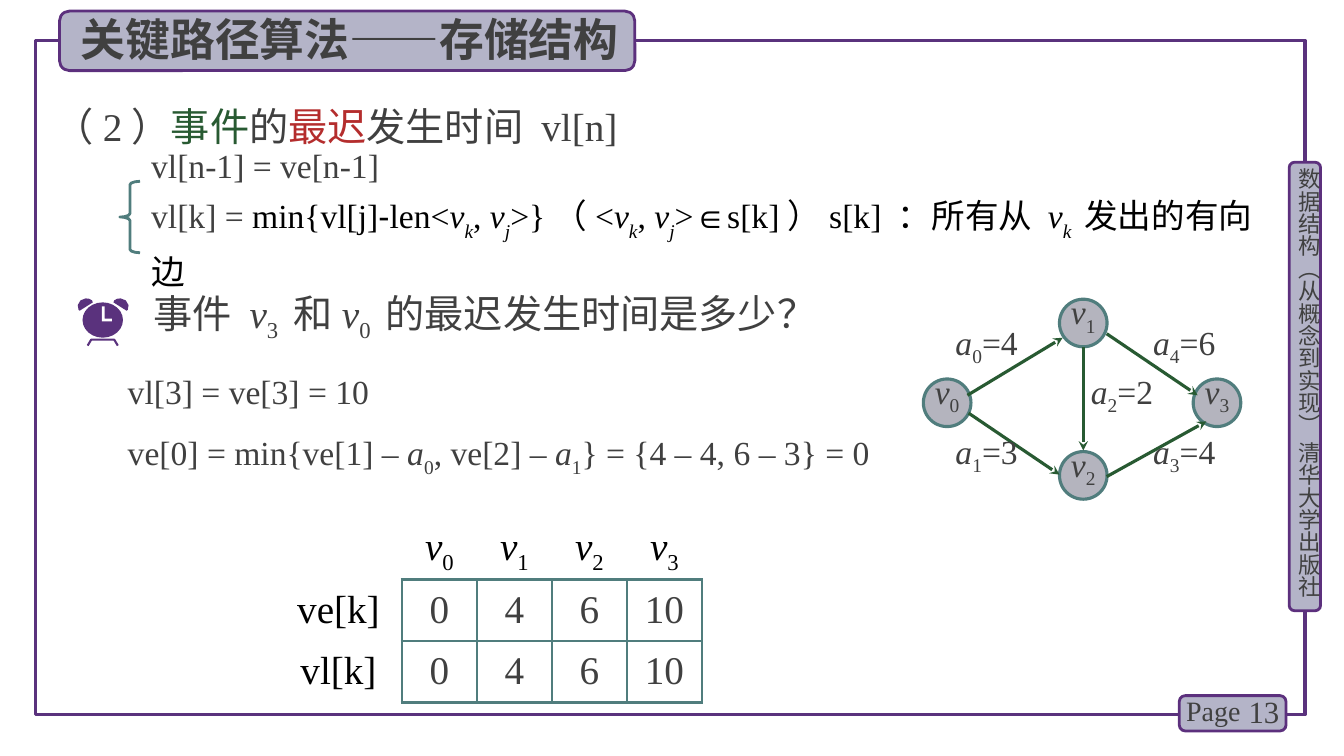
from lxml.etree import SubElement
from pptx import Presentation
from pptx.dml.color import RGBColor
from pptx.enum.shapes import MSO_CONNECTOR, MSO_SHAPE
from pptx.enum.text import MSO_ANCHOR, MSO_AUTO_SIZE, PP_ALIGN
from pptx.oxml.ns import qn
from pptx.util import Cm, Pt

COLORS = {"purple": "5A327D", "edge": "5C307D", "lilac": "B4B4C8", "node": "B4B4BE",
          "teal": "507D7D", "green": "285A32", "red": "B42D2D", "gray": "404040",
          "black": "000000", "white": "FFFFFF"}
SERIF, SANS = "Times New Roman", "Noto Sans CJK SC"


def rgb(name):
    """Look up a named colour."""
    return RGBColor.from_string(COLORS[name])


def add_text(p, text, size=24, color="gray", font=SERIF, bold=False, italic=False, base=0):
    """Append a formatted run to a paragraph."""
    r = p.add_run()
    r.text = text
    r.font.size, r.font.name = Pt(size), font
    r.font.bold, r.font.italic = bold, italic
    r.font.color.rgb = rgb(color)
    rPr = r._r.get_or_add_rPr()
    SubElement(rPr, qn("a:ea")).set("typeface", SANS)
    if base:
        rPr.set("baseline", str(base * 1000))


def var(name, sub, slanted=False):
    """Return the runs of an italic variable with its subscript."""
    return [(name, {"italic": True}),
            (sub, {"italic": slanted, "base": -30 if slanted else -25})]


def write(tf, *paras, align=PP_ALIGN.LEFT, spacing=(None,), anchor=MSO_ANCHOR.TOP,
          margin=None, **fmt):
    """Fill a text frame with paragraphs, each a string or a list of runs."""
    tf.word_wrap, tf.vertical_anchor = True, anchor
    if margin is not None:
        tf.margin_left = tf.margin_right = tf.margin_top = tf.margin_bottom = Cm(margin)
    for i, runs in enumerate(paras):
        p = tf.add_paragraph() if i else tf.paragraphs[0]
        p.alignment, p.line_spacing = align, spacing[i]
        for text, own in [(runs, {})] if isinstance(runs, str) else runs:
            add_text(p, text, **{**fmt, **own})


class Deck:
    """Hold the presentation, the current slide and its drawing style."""

    def __init__(self):
        """Open a widescreen presentation with one title-only slide."""
        self.prs = Presentation()
        self.prs.slide_width, self.prs.slide_height = Cm(33.87), Cm(19.05)
        self.s = self.prs.slides.add_slide(self.prs.slide_layouts[5])

    def paint(self, sp, fill=None, line=None, width=2.25):
        """Set the fill and line of a shape and drop its shadow."""
        sp.shadow.inherit = False
        if fill:
            sp.fill.solid()
            sp.fill.fore_color.rgb = rgb(fill)
        else:
            sp.fill.background()
        if line:
            sp.line.color.rgb, sp.line.width = rgb(line), Pt(width)
        else:
            sp.line.fill.background()
        return sp

    def shape(self, kind, box, **style):
        """Add a preset shape."""
        return self.paint(self.s.shapes.add_shape(kind, *map(Cm, box)), **style)

    def title(self, text, box):
        """Place the title in front of the shapes drawn so far."""
        sp = self.s.shapes.title
        sp.left, sp.top, sp.width, sp.height = map(Cm, box)
        write(sp.text_frame, text, size=32, font=SANS, bold=True)
        sp.text_frame.auto_size = MSO_AUTO_SIZE.NONE
        self.s.shapes.element.append(sp.element)

    def text(self, box, *paras, grow=True, **fmt):
        """Add a text box."""
        tf = self.s.shapes.add_textbox(*map(Cm, box)).text_frame
        write(tf, *paras, **fmt)
        tf.auto_size = MSO_AUTO_SIZE.SHAPE_TO_FIT_TEXT if grow else MSO_AUTO_SIZE.NONE
        return tf

    def outline(self, points, close=True, **style):
        """Add a freeform through points in centimetres."""
        start, *rest = [(Cm(x), Cm(y)) for x, y in points]
        fb = self.s.shapes.build_freeform(*start)
        fb.add_line_segments(rest, close=close)
        return self.paint(fb.convert_to_shape(), **style)

    def arrow(self, *ends):
        """Add a green arrow between two points."""
        cn = self.s.shapes.add_connector(MSO_CONNECTOR.STRAIGHT, *map(Cm, ends))
        cn.line.color.rgb, cn.line.width = rgb("green"), Pt(2.25)
        SubElement(cn.line._get_or_add_ln(), qn("a:tailEnd")).set("type", "stealth")
        SubElement(cn._element.spPr, qn("a:effectLst"))

    def border(self, cell):
        """Draw teal borders on all four sides of a table cell."""
        tcPr = cell._tc.get_or_add_tcPr()
        for i, side in enumerate("LRTB"):
            ln = SubElement(tcPr, qn(f"a:ln{side}"), w=str(Pt(2.25)))
            fill = SubElement(ln, qn("a:solidFill"))
            SubElement(fill, qn("a:srgbClr"), val=COLORS["teal"])
            tcPr.insert(i, ln)

    def table(self, left, top, widths, heights, rows):
        """Add a table with plain headings and bordered values."""
        frame = self.s.shapes.add_table(len(rows), len(widths), Cm(left), Cm(top),
                                        Cm(sum(widths)), Cm(sum(heights)))
        tb = frame.table
        tb.first_row = tb.horz_banding = False
        tb._tbl.tblPr[0].text = "{2D5ABB26-0587-4C30-8999-92F81FD0307C}"
        for col, width in zip(tb.columns, widths):
            col.width = Cm(width)
        for i, row in enumerate(rows):
            tb.rows[i].height = Cm(heights[i])
            for j, value in enumerate(row):
                cell, inner = tb.cell(i, j), i > 0 and j > 0
                cell.fill.background()
                cell.margin_top = cell.margin_bottom = Cm(0.1)
                if value:
                    write(cell.text_frame, value, size=28, align=PP_ALIGN.CENTER,
                          color="gray" if inner else "black")
                cell.vertical_anchor = MSO_ANCHOR.MIDDLE if i else MSO_ANCHOR.BOTTOM
                if inner:
                    self.border(cell)


def draw_frame(d):
    """Draw the border, the side label, the page label and the title."""
    d.shape(MSO_SHAPE.RECTANGLE, (0.89, 1.02, 32, 16.99), line="purple")
    for box in ((32.49, 4.09, 0.79, 11.3), (29.72, 17.53, 2.69, 0.89), (1.5, 0.28, 14.5, 1.5)):
        d.shape(MSO_SHAPE.ROUNDED_RECTANGLE, box, fill="lilac", line="edge", width=2)
    tf = d.text((32.64, 4.24, 0.69, 11.4), "数据结构（从概念到实现） 清华大学出版社",
                size=16, font=SANS, margin=0)
    tf._txBody.bodyPr.set("vert", "eaVert")
    d.text((30.99, 17.42, 1.5, 1.02), "13", size=22, align=PP_ALIGN.RIGHT,
           anchor=MSO_ANCHOR.MIDDLE, grow=False)
    d.text((29.64, 17.35, 1.98, 1.12), "Page", size=20)
    d.title("关键路径算法——存储结构", (1.78, 0.18, 14.71, 1.63))


def draw_clock(d):
    """Draw the alarm clock beside the question."""
    ear = [(2.16, 7.52), (2.03, 7.57), (1.96, 7.69), (1.98, 7.81), (2.01, 7.83),
           (2.34, 7.62), (2.32, 7.57), (2.25, 7.53)]
    d.outline([(2.21, 8.71), (2.3, 8.56), (2.88, 8.56), (2.97, 8.71)], close=False,
              line="purple", width=1.5)
    d.outline(ear, fill="purple")
    d.outline([(5.2 - x, y) for x, y in ear], fill="purple")
    d.shape(MSO_SHAPE.OVAL, (2.08, 7.62, 1.02, 0.89), fill="purple")
    d.outline([(2.57, 7.72), (2.64, 7.72), (2.64, 8.03), (2.82, 8.03), (2.82, 8.1),
               (2.57, 8.1)], fill="white")


def draw_graph(d):
    """Draw the network of events and activities."""
    fmt = {"align": PP_ALIGN.CENTER, "spacing": (Pt(22),), "margin": 0}
    for i, (x, y) in enumerate([(23.87, 10.15), (27.3, 8.14), (27.3, 11.98), (30.67, 10.15)]):
        sp = d.shape(MSO_SHAPE.OVAL, (x - 0.6, y - 0.6, 1.2, 1.2),
                     fill="node", line="teal")
        write(sp.text_frame, var("v", str(i)), **fmt)
    edges = [((24.38, 9.96, 26.78, 8.51), (23.67, 8.48), 4),
             ((24.41, 10.41, 26.7, 11.96), (23.67, 11.24), 3),
             ((27.3, 8.74, 27.3, 11.35), (27.08, 9.72), 2),
             ((27.89, 12.01, 30.4, 10.62), (28.65, 11.24), 4),
             ((27.89, 8.41, 30.18, 9.96), (28.65, 8.48), 6)]
    for i, (ends, corner, cost) in enumerate(edges):
        d.arrow(*ends)
        d.text((*corner, 2.39, 0.84), var("a", str(i)) + [(f"={cost}", {})], grow=False, **fmt)


def main():
    """Build the slide and save it."""
    d = Deck()
    draw_frame(d)
    d.text((1.12, 2.39, 27.74, 1.5),
           [("（2）", {}), ("事件", {"color": "green"}), ("的", {}),
            ("最迟", {"color": "red"}), ("发生时间 vl[n]", {})],
           size=28, spacing=(Pt(35),), anchor=MSO_ANCHOR.MIDDLE)
    pair = [*var("v", "k", True), (", ", {}), *var("v", "j", True)]
    rule = [("min{vl[j]", {}), ("-", {"font": "Arial"}), ("len<", {}), *pair, (">}（<", {}),
            *pair, (">∈s[k]）s[k] ：所有从 ", {}), *var("v", "k ", True), ("发出的有向边", {})]
    d.text((3.56, 3.73, 28.7, 3.02), [("vl[n-1] = ve[n-1]", {"color": "gray"})],
           [("vl[k] = ", {"color": "gray"}), *rule],
           color="black", spacing=(1.5, 1.2), anchor=MSO_ANCHOR.MIDDLE)
    brace = d.shape(MSO_SHAPE.LEFT_BRACE, (3.02, 4.57, 0.51, 1.8), line="teal", width=2)
    brace.adjustments[0] = 0.17
    draw_graph(d)
    d.text((3.61, 7.29, 18.26, 1.5),
           [("事件 ", {}), *var("v", "3 "), ("和", {}), *var("v", "0 "),
            ("的最迟发生时间是多少？", {})],
           size=28, align=PP_ALIGN.JUSTIFY, spacing=(Pt(35),))
    draw_clock(d)
    d.text((2.97, 9.22, 9.58, 1.27), "vl[3] = ve[3] = 10")
    d.text((2.97, 10.77, 25.5, 1.27),
           [("ve[0] = min{ve[1] – ", {}), *var("a", "0"), (", ve[2] – ", {}),
            *var("a", "1"), ("} = {4 – 4, 6 – 3} = 0", {})])
    times = ["0", "4", "6", "10"]
    d.table(6.93, 13.05, [3.2] + [1.89] * 4, [1.45, 1.55, 1.55],
            [[""] + [var("v", str(i)) for i in range(4)], ["ve[k]"] + times, ["vl[k]"] + times])
    d.prs.save("out.pptx")


if __name__ == "__main__":
    main()
